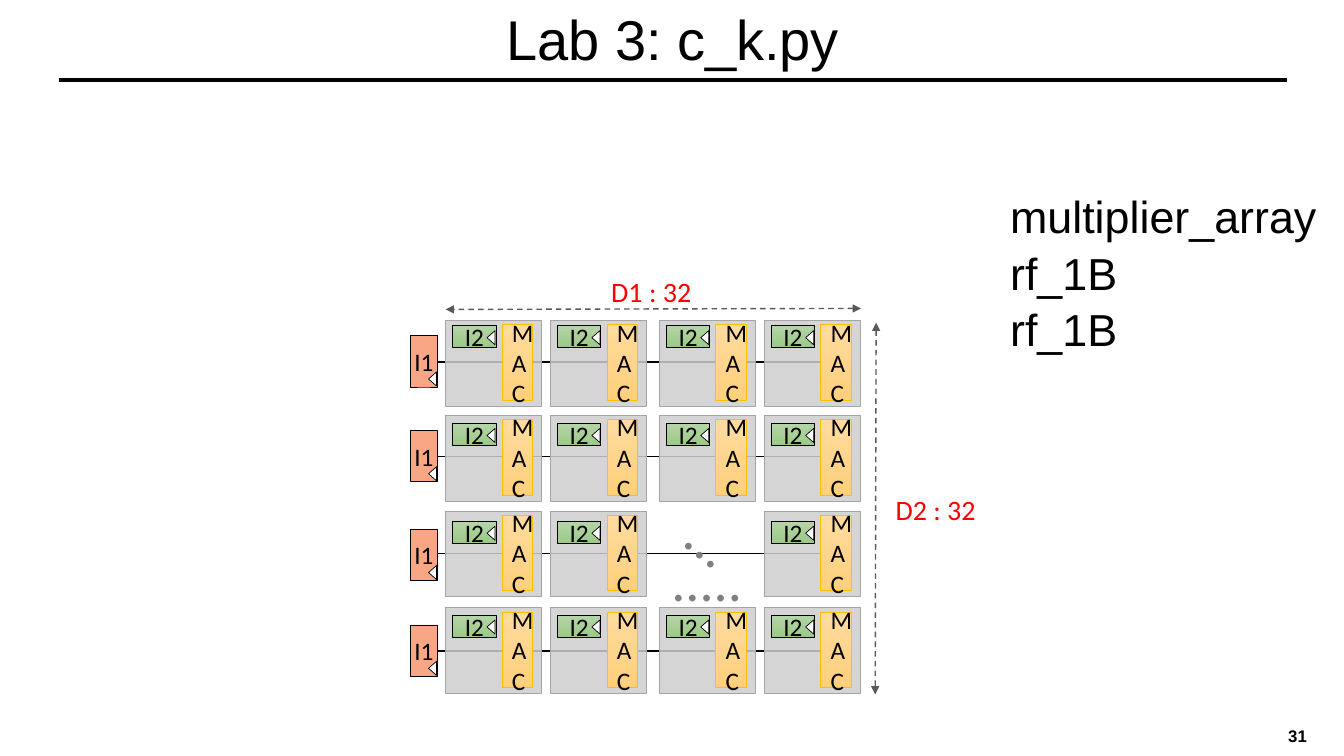
import pptx
import pptx.dml.color
import pptx.enum.dml
import pptx.enum.shapes
import pptx.enum.text
import pptx.oxml
import pptx.util
from pptx.oxml import ns

Inches = pptx.util.Inches
Pt = pptx.util.Pt
SHAPE = pptx.enum.shapes.MSO_SHAPE
ALIGN = pptx.enum.text.PP_ALIGN
ANCHOR = pptx.enum.text.MSO_ANCHOR

PE_SIZE = (0.95, 0.85)
COLUMNS = (4.42, 5.46, 6.54, 7.58)
# Tops of the cell, the I1 register and the I2 register, then the wire height
ROWS = ((3.18, 3.33, 3.23, 3.59), (4.12, 4.27, 4.2, 4.53),
        (5.07, 5.25, 5.17, 5.49), (6.03, 6.2, 6.1, 6.46))
SKIPPED = (2, 2)  # row and column left open for the dots

ORANGE = ("FFDB9E", "FFD07C")
GREEN = ("B5D5A7", "9CC987")
SALMON = "F8A683"
CALIBRI_18 = {"name": "Calibri", "size": Pt(18)}
LABEL = {"name": "Calibri", "size": Pt(20)}
DOTS = {"name": "Calibri", "size": Pt(40)}


def rgb(color):
    return pptx.dml.color.RGBColor.from_string(color)


def write(sp, text, font, color="000000", align=ALIGN.CENTER,
          anchor=ANCHOR.MIDDLE, inset=None, spacing=None):
    tf = sp.text_frame
    frame = {"word_wrap": True, "vertical_anchor": anchor}
    if inset is not None:
        sides = ("left", "right", "top", "bottom")
        frame.update({f"margin_{side}": Inches(inset) for side in sides})
    for key, value in frame.items():
        setattr(tf, key, value)
    for i, line in enumerate(text.split("\n")):
        p = tf.paragraphs[0] if i == 0 else tf.add_paragraph()
        p.alignment = align
        p.line_spacing = spacing
        r = p.add_run()
        r.text = line
        for key, value in font.items():
            setattr(r.font, key, value)
        r.font.color.rgb = rgb(color)


def add_text(s, box, text, font, rotation=0, **style):
    sp = s.shapes.add_textbox(*map(Inches, box))
    sp.rotation = rotation
    write(sp, text, font, **style)


def add_box(shapes, kind, box, fill, line, alpha=None):
    sp = shapes.add_shape(kind, *map(Inches, box))
    sp.shadow.inherit = False
    if isinstance(fill, tuple):
        sp.fill.gradient()
        sp.fill.gradient_angle = 270
        for stop, color in zip(sp.fill.gradient_stops, fill):
            stop.color.rgb = rgb(color)
    else:
        sp.fill.solid()
        sp.fill.fore_color.rgb = rgb(fill)
    if alpha:
        clr = sp.fill._xPr.find(".//" + ns.qn("a:srgbClr"))
        clr.append(pptx.oxml.parse_xml(
            f'<a:alpha {ns.nsdecls("a")} val="{alpha * 1000}"/>'))
    sp.line.color.rgb = rgb(line)
    sp.line.width = Pt(0.5)
    return sp


def add_line(s, x1, y1, x2, y2, color="000000", width=1, arrows=False):
    cn = s.shapes.add_connector(pptx.enum.shapes.MSO_CONNECTOR.STRAIGHT,
                                *map(Inches, (x1, y1, x2, y2)))
    cn.line.color.rgb = rgb(color)
    cn.line.width = Pt(width)
    if arrows:
        cn.line.dash_style = pptx.enum.dml.MSO_LINE.DASH
        ln = cn.line._get_or_add_ln()
        for end in ("headEnd", "tailEnd"):
            ln.append(pptx.oxml.parse_xml(
                f'<a:{end} {ns.nsdecls("a")} type="triangle"/>'))
    cn._element.spPr.append(
        pptx.oxml.parse_xml(f'<a:effectLst {ns.nsdecls("a")}/>'))


def add_register(s, box, text, fill, clock_rise):
    """A labelled register with its clock mark at the right edge."""
    x, y, w, h = box
    group = s.shapes.add_group_shape()
    sp = add_box(group.shapes, SHAPE.RECTANGLE, box, fill, "000000")
    write(sp, text, CALIBRI_18, inset=0)
    mark = (x + w - 0.12, y + h - clock_rise, 0.14, 0.08)
    clock = add_box(group.shapes, SHAPE.ISOSCELES_TRIANGLE, mark,
                    "FFFFFF", "000000")
    clock.rotation = 270


def add_cell(s, x, y, register_y):
    """One processing element: grey cell, MAC unit and I2 register."""
    add_box(s.shapes, SHAPE.RECTANGLE, (x, y, *PE_SIZE), "CECECE", "A5A5A5",
            alpha=85)
    mac = add_box(s.shapes, SHAPE.RECTANGLE, (x + 0.56, y + 0.04, 0.3, 0.75),
                  ORANGE, "FFC000")
    write(mac, "MAC", CALIBRI_18)
    add_register(s, (x + 0.07, register_y, 0.43, 0.22), "I2", GREEN, 0.14)


def add_array(s):
    # Wires run behind the cells
    for *_, wire_y in ROWS:
        add_line(s, 4.34, wire_y, 8.14, wire_y)
    for i, (cell_y, i1_y, i2_y, _) in enumerate(ROWS):
        for j, x in enumerate(COLUMNS):
            if (i, j) != SKIPPED:
                add_cell(s, x, cell_y, i2_y)
        add_register(s, (4.07, i1_y, 0.27, 0.51), "I1", SALMON, 0.12)
    # Dots for the cells left out
    dots = {"color": "808080", "align": ALIGN.LEFT, "anchor": ANCHOR.TOP}
    add_text(s, (6.74, 5.02, 0.75, 0.77), "...", DOTS, rotation=39, **dots)
    add_text(s, (6.56, 5.36, 1.09, 0.6), ".....", DOTS, **dots)


def add_dimensions(s):
    for ends, box, text in (
            ((8.54, 3.06, 4.42, 3.07), (5.73, 2.67, 1.46, 0.34), "D1 : 32"),
            ((8.69, 3.2, 8.68, 6.89), (8.32, 4.84, 1.92, 0.34), "D2 : 32")):
        add_line(s, *ends, color="595959", arrows=True)
        add_text(s, box, text, LABEL, color="FF0000", anchor=ANCHOR.TOP)


def add_heading(s, box):
    x, y, w, h = box
    add_text(s, box, "Lab 3: c_k.py", {"name": "Arial", "size": Pt(40)},
             spacing=0.9)
    add_line(s, x - 0.33, y + h, x + w + 0.34, y + h, width=3)


def main():
    prs = pptx.Presentation()
    prs.slide_width, prs.slide_height = Inches(13.33), Inches(7.5)
    s = prs.slides.add_slide(prs.slide_layouts[6])
    add_heading(s, (0.92, 0.04, 11.5, 0.75))
    add_array(s)
    add_dimensions(s)
    # Module names
    add_text(s, (9.92, 1.8, 3.42, 1.72), "multiplier_array\nrf_1B\nrf_1B",
             {"name": "Arial", "size": Pt(32)}, align=ALIGN.LEFT,
             anchor=ANCHOR.TOP, spacing=1.05)
    # Slide number
    add_text(s, (10.11, 7.1, 2.95, 0.4), "31",
             {"name": "Arial", "size": Pt(12), "bold": True},
             align=ALIGN.RIGHT)
    prs.save("out.pptx")


if __name__ == "__main__":
    main()
